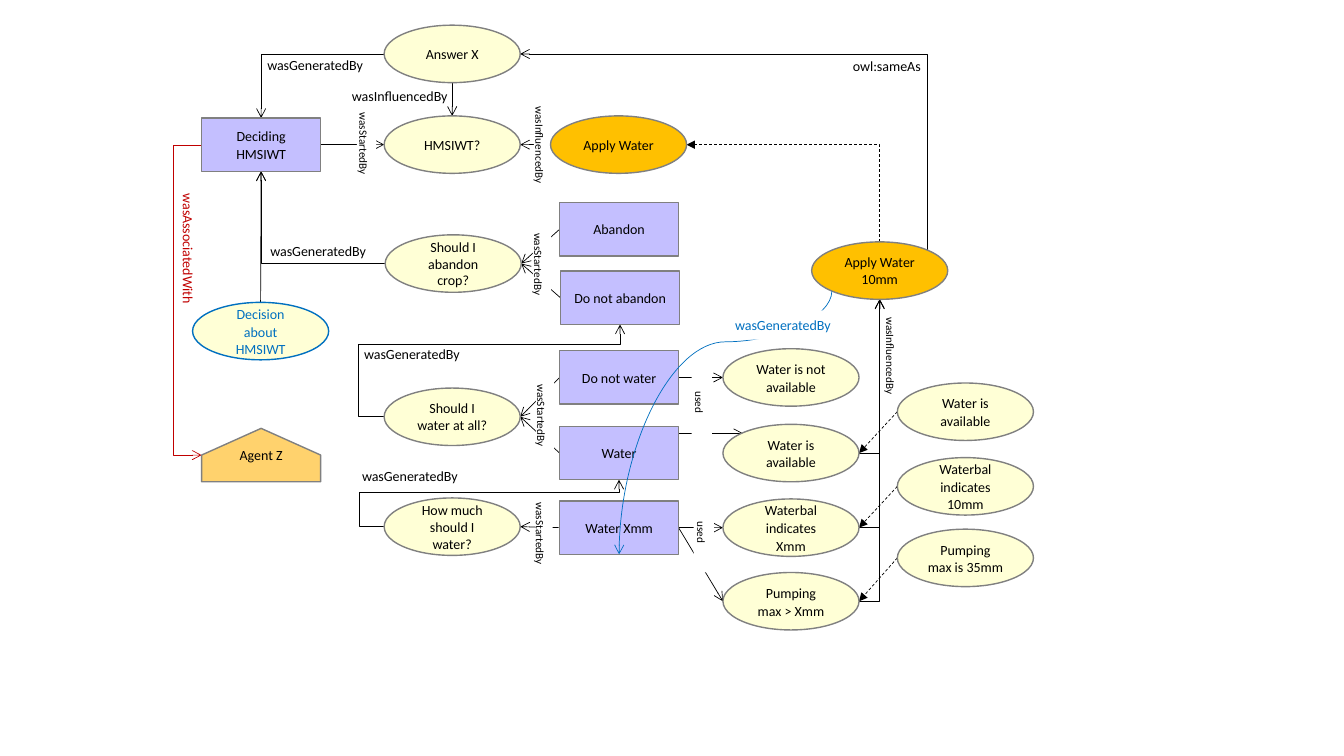
"""Build a slide of the provenance graph for an irrigation decision."""
from lxml.etree import SubElement
from pptx import Presentation
from pptx.dml.color import RGBColor
from pptx.enum.dml import MSO_LINE
from pptx.enum.shapes import MSO_CONNECTOR, MSO_SHAPE
from pptx.enum.text import MSO_ANCHOR, PP_ALIGN
from pptx.oxml.ns import qn
from pptx.util import Inches, Pt

THEME = {
    "font": "Calibri", "text": 10, "small": 8, "outline": 1, "arrow": 0.5,
    "black": "000000", "white": "FFFFFF", "gray": "808080", "blue": "0070C0",
    "red": "C00000", "entity": "FFFFD6", "activity": "C4BFFF",
    "result": "FFC000", "agent": "FFD26D",
}
OVAL, BOX = (1.35, 0.57), (1.18, 0.53)
TOP, LEFT, BOTTOM, RIGHT = range(4)

ENTITIES = {
    "answer": ("Answer X", 3.81, 0.25),
    "question": ("HMSIWT?", 3.81, 1.15),
    "ask abandon": ("Should I abandon crop?", 3.82, 2.33),
    "ask water": ("Should I water at all?", 3.81, 3.85),
    "ask amount": ("How much should I water?", 3.81, 4.94),
    "decision": ("Decision about HMSIWT", 1.91, 3.0),
    "unavailable": ("Water is not available", 7.17, 3.46),
    "available": ("Water is available", 7.17, 4.21),
    "balance": ("Waterbal indicates Xmm", 7.17, 4.95),
    "pumping": ("Pumping max > Xmm", 7.17, 5.68),
    "available fact": ("Water is available", 8.9, 3.8),
    "balance fact": ("Waterbal indicates 10mm", 8.9, 4.54),
    "pumping fact": ("Pumping max is 35mm", 8.9, 5.25),
}
RESULTS = {
    "apply": ("Apply Water", 5.46, 1.15),
    "apply 10mm": ("Apply Water 10mm", 8.05, 2.4),
}
ACTIVITIES = {
    "deciding": ("Deciding HMSIWT", 2.0, 1.17),
    "abandon": ("Abandon", 5.55, 2.01),
    "keep": ("Do not abandon", 5.56, 2.69),
    "no water": ("Do not water", 5.55, 3.48),
    "water": ("Water", 5.55, 4.23),
    "water amount": ("Water Xmm", 5.55, 4.97),
}
AGENT = ("Agent Z", 2.0, 4.25)
SPACED = {"decision", "deciding", "unavailable", "available", "balance", "pumping",
          "available fact", "balance fact", "pumping fact"}

STRAIGHT = [
    (("abandon", LEFT), ("ask abandon", RIGHT)),
    (("keep", LEFT), ("ask abandon", RIGHT)),
    (("no water", LEFT), ("ask water", RIGHT)),
    (("water", LEFT), ("ask water", RIGHT)),
    (("water amount", LEFT), ("ask amount", RIGHT)),
    (("water amount", RIGHT), ("pumping", LEFT)),
    (("water amount", RIGHT), ("balance", LEFT)),
    (("no water", RIGHT), ("unavailable", LEFT)),
    ((6.73, 4.3), (7.37, 4.3)),
    (("apply", LEFT), ("question", RIGHT)),
    (("deciding", RIGHT), ("question", LEFT)),
    (("answer", BOTTOM), ("question", TOP)),
    (("decision", TOP), ("deciding", BOTTOM)),
]
DASHED = [((f"{name} fact", LEFT), (name, RIGHT))
          for name in ("available", "balance", "pumping")]
ROUTED = [
    ("bentConnector2", ("ask abandon", LEFT), ("deciding", BOTTOM), {}),
    ("bentConnector2", ("answer", LEFT), ("deciding", TOP), {}),
    ("bentConnector2", ("available", RIGHT), ("apply 10mm", BOTTOM), {}),
    ("bentConnector2", ("balance", RIGHT), ("apply 10mm", BOTTOM), {}),
    ("bentConnector2", ("pumping", RIGHT), ("apply 10mm", BOTTOM), {}),
    ("bentConnector2", ("apply 10mm", TOP), ("apply", RIGHT),
     {"vertical": True, "dashed": True}),
    ("bentConnector2", (9.2, 2.48), ("answer", RIGHT), {"vertical": True}),
    ("bentConnector4", ("ask water", LEFT), ("keep", BOTTOM), {"bends": (-10700, 78600)}),
    ("bentConnector4", ("ask amount", LEFT), ("water", BOTTOM), {"bends": (-10700, 74000)}),
    ("bentConnector3", (2.01, 1.44), ("agent", LEFT),
     {"bends": (2900000,), "color": "red"}),
]
CURVE = ("curvedConnector3", (8.25, 2.89), ("water amount", BOTTOM),
         {"vertical": True, "bends": (19200,), "color": "blue"})
LABELS = [
    ("wasGeneratedBy", 2.62, 0.5, 1.01, 0.27, {}),
    ("wasGeneratedBy", 2.65, 2.35, 1.01, 0.27, {}),
    ("wasGeneratedBy", 3.58, 3.37, 1.01, 0.27, {}),
    ("wasGeneratedBy", 3.56, 4.58, 1.01, 0.27, {}),
    ("owl:sameAs", 8.29, 0.51, 1.01, 0.27, {}),
    ("wasInfluencedBy", 3.45, 0.81, 1.02, 0.29, {"centered": False}),
    ("wasGeneratedBy", 7.25, 3.08, 1.01, 0.29,
     {"centered": False, "color": "blue", "filled": True}),
    ("wasAssociatedWith", 1.28, 2.32, 1.17, 0.29,
     {"centered": False, "color": "red", "rotation": 90}),
]
SIDE_LABELS = [
    ("wasStartedBy", 3.13, 1.33, 1.01, 0.19),
    ("wasInfluencedBy", 4.88, 1.35, 1.01, 0.18),
    ("wasStartedBy", 4.87, 2.53, 1.01, 0.18),
    ("wasStartedBy", 4.9, 4.03, 1.01, 0.18),
    ("wasStartedBy", 5.02, 5.21, 0.75, 0.17),
    ("wasInfluencedBy", 8.36, 3.44, 1.01, 0.18),
    ("used", 6.56, 3.89, 0.8, 0.2),
    ("used", 6.58, 5.18, 0.8, 0.2),
]


def color_of(name):
    return RGBColor.from_string(THEME[name])


def write(shape, text, color="black", size="text", centered=True, spaced=True):
    paragraph = shape.text_frame.paragraphs[0]
    paragraph.text = text
    paragraph.alignment = PP_ALIGN.CENTER if centered else PP_ALIGN.LEFT
    if spaced:
        paragraph.line_spacing = 1.05
        paragraph.space_after = Pt(8)
    paragraph.font.name = THEME["font"]
    paragraph.font.size = Pt(THEME[size])
    paragraph.font.color.rgb = color_of(color)


def finish_node(shape, text, fill, accent=None, spaced=False):
    shape.shadow.inherit = False
    shape.fill.solid()
    shape.fill.fore_color.rgb = color_of(fill)
    shape.line.color.rgb = color_of(accent or "gray")
    shape.line.width = Pt(THEME["outline"])
    shape.text_frame.word_wrap = True
    shape.text_frame.vertical_anchor = MSO_ANCHOR.MIDDLE
    write(shape, text, accent or "black", spaced=spaced)
    return shape


def add_nodes(slide):
    nodes = {}
    for group, kind, size, fill in ((ENTITIES, MSO_SHAPE.OVAL, OVAL, "entity"),
                                    (RESULTS, MSO_SHAPE.OVAL, OVAL, "result"),
                                    (ACTIVITIES, MSO_SHAPE.RECTANGLE, BOX, "activity")):
        for name, (text, *corner) in group.items():
            shape = slide.shapes.add_shape(kind, *map(Inches, (*corner, *size)))
            accent = "blue" if name == "decision" else None
            nodes[name] = finish_node(shape, text, fill, accent, name in SPACED)
    text, left, top = AGENT
    width, height = BOX
    outline = slide.shapes.build_freeform(Inches(left + width / 2), Inches(top))
    outline.add_line_segments([(Inches(left + x * width), Inches(top + y * height))
                               for x, y in ((1, 0.5), (1, 1), (0, 1), (0, 0.5))])
    nodes["agent"] = finish_node(outline.convert_to_shape(), text, "agent")
    return nodes


def locate(end, nodes):
    name, side = end
    if name not in nodes:
        return Inches(name), Inches(side)
    shape = nodes[name]
    x, y = ((0.5, 0), (0, 0.5), (0.5, 1), (1, 0.5))[side]
    return int(shape.left + x * shape.width), int(shape.top + y * shape.height)


def style_line(connector, color="black", dashed=False):
    connector.line.color.rgb = color_of(color)
    connector.line.width = Pt(THEME["arrow"])
    if dashed:
        connector.line.dash_style = MSO_LINE.DASH
    properties = connector._element.spPr
    head = SubElement(properties.find(qn("a:ln")), qn("a:tailEnd"))
    head.set("type", "triangle" if dashed else "arrow")
    SubElement(properties, qn("a:effectLst"))


def add_straight(slide, nodes, begin, end, dashed=False):
    connector = slide.shapes.add_connector(
        MSO_CONNECTOR.STRAIGHT, *locate(begin, nodes), *locate(end, nodes))
    if begin[0] in ACTIVITIES:
        connector.begin_connect(nodes[begin[0]], begin[1])
    if end[0] in ACTIVITIES:
        connector.end_connect(nodes[end[0]], end[1])
    style_line(connector, dashed=dashed)


def add_routed(slide, nodes, kind, begin, end, vertical=False, bends=(), **style):
    (x1, y1), (x2, y2) = locate(begin, nodes), locate(end, nodes)
    across, down = (y2 - y1, x1 - x2) if vertical else (x2 - x1, y2 - y1)
    width, height = abs(across), abs(down)
    left, top = (x1 + x2 - width) // 2, (y1 + y2 - height) // 2
    connector = slide.shapes.add_connector(
        MSO_CONNECTOR.ELBOW, left, top, left + width, top + height)
    frame = connector._element.spPr.find(qn("a:xfrm"))
    for attribute, value in (("rot", 5400000 * vertical), ("flipH", int(across < 0)),
                             ("flipV", int(down < 0))):
        frame.set(attribute, str(value))
    geometry = connector._element.spPr.find(qn("a:prstGeom"))
    geometry.set("prst", kind)
    for number, bend in enumerate(bends, 1):
        SubElement(geometry.find(qn("a:avLst")), qn("a:gd"),
                   name=f"adj{number}", fmla=f"val {bend}")
    style_line(connector, **style)


def add_label(slide, text, *area, rotation=0, filled=False, centered=True, **style):
    label = slide.shapes.add_textbox(*map(Inches, area))
    label.rotation = rotation
    label.text_frame.word_wrap = False
    label.text_frame.margin_left = Inches(0 if centered else 0.04)
    label.text_frame.margin_right = 0
    if filled:
        label.fill.solid()
        label.fill.fore_color.rgb = color_of("white")
    write(label, text, centered=centered, **style)


def main():
    presentation = Presentation()
    presentation.slide_width, presentation.slide_height = Inches(13.33), Inches(7.5)
    slide = presentation.slides.add_slide(presentation.slide_layouts[6])
    nodes = add_nodes(slide)
    for dashed, links in ((False, STRAIGHT), (True, DASHED)):
        for begin, end in links:
            add_straight(slide, nodes, begin, end, dashed)
    for *route, options in ROUTED:
        add_routed(slide, nodes, *route, **options)
    for label in SIDE_LABELS:
        add_label(slide, *label, rotation=90, filled=True, size="small")
    for node in nodes.values():
        slide.shapes._spTree.append(node._element)
    *route, options = CURVE
    add_routed(slide, nodes, *route, **options)
    for *label, options in LABELS:
        add_label(slide, *label, **options)
    presentation.save("out.pptx")


if __name__ == "__main__":
    main()
